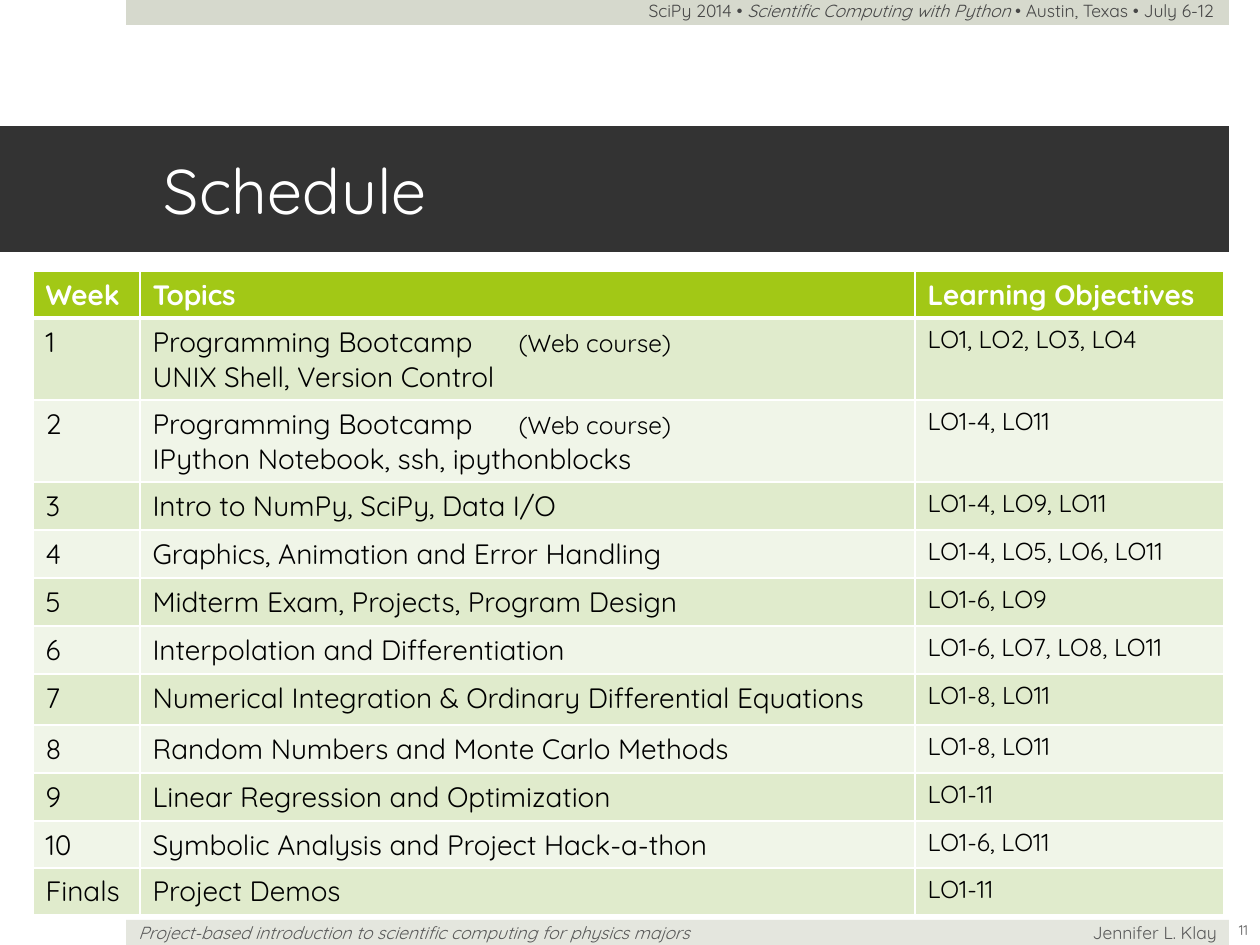
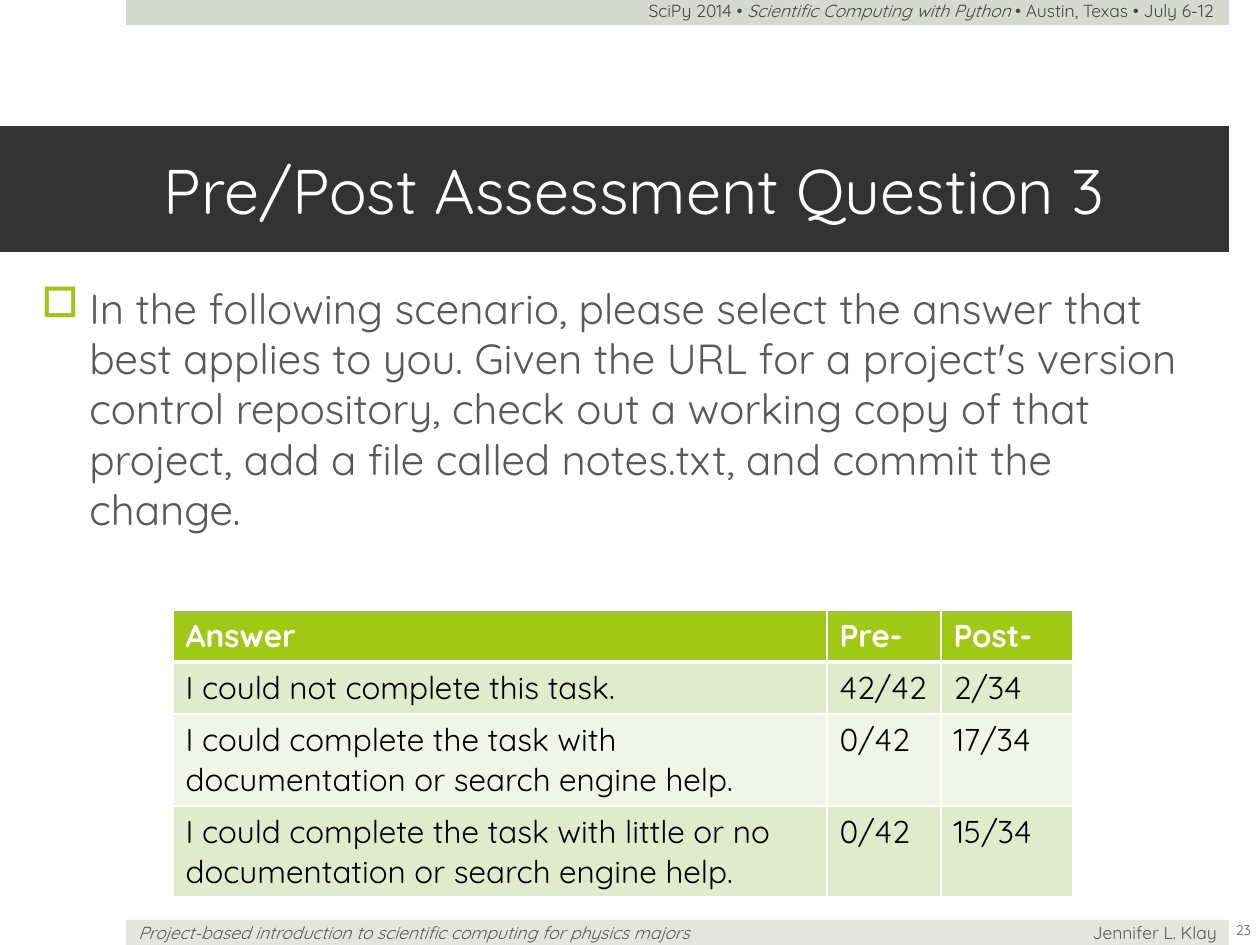
import lxml.etree
import pptx
import pptx.dml.color
import pptx.enum.shapes
import pptx.enum.text
import pptx.oxml.ns
import pptx.util

PIXELS_PER_INCH = 126
FONT = "Quicksand"
COLORS = {
    "top_band": "D6D9CD",
    "bottom_band": "E4E6DE",
    "title_band": "333333",
    "conference": "474747",
    "gray": "595959",
    "white": "FFFFFF",
    "black": "000000",
    "green": "A2C816",
    "odd_row": "E0EBCC",
    "even_row": "F0F5E8",
}
BANDS = [("bottom_band", (126, 920, 1103, 25)), ("top_band", (126, 0, 1103, 25))]
FOOTERS = [
    ((126, 920, 682, 25), "LEFT", "MIDDLE", "gray",
     [("Project-based introduction to scientific computing for physics majors", True)]),
    ((1074, 920, 155, 25), "RIGHT", "MIDDLE", "gray", [("Jennifer L. Klay", False)]),
    ((596, -6, 630, 34), "RIGHT", "TOP", "conference",
     [("SciPy 2014 • ", False), ("Scientific Computing with Python ", True),
      ("• Austin, Texas • July 6-12", False)]),
]
NUMBER_BOX = (1212, 905, 63, 50)
TITLE_BOX = (0, 126, 1229, 126)
QUESTION_BOX = (29, 276, 1197, 300)
BULLET_INDENT = 48
NOTE_TAB = 366
NOTE_SIZE = 14

SCHEDULE = {
    "origin": (33, 271),
    "columns": [107, 775, 309],
    "heights": [47, 82, 82, 48, 48, 48, 48, 51, 48, 48, 47, 47],
    "sizes": [16, 16, 14],
    "header_size": 16,
    "rows": [
        ("Week", "Topics", "Learning Objectives"),
        ("1", "Programming Bootcamp\t(Web course)\nUNIX Shell, Version Control",
         "LO1, LO2, LO3, LO4"),
        ("2", "Programming Bootcamp\t(Web course)\nIPython Notebook, ssh, ipythonblocks",
         "LO1-4, LO11"),
        ("3", "Intro to NumPy, SciPy, Data I/O", "LO1-4, LO9, LO11"),
        ("4", "Graphics, Animation and Error Handling", "LO1-4, LO5, LO6, LO11"),
        ("5", "Midterm Exam, Projects, Program Design", "LO1-6, LO9"),
        ("6", "Interpolation and Differentiation", "LO1-6, LO7, LO8, LO11"),
        ("7", "Numerical Integration & Ordinary Differential Equations", "LO1-8, LO11"),
        ("8", "Random Numbers and Monte Carlo Methods", "LO1-8, LO11"),
        ("9", "Linear Regression and Optimization", "LO1-11"),
        ("10", "Symbolic Analysis and Project Hack-a-thon", "LO1-6, LO11"),
        ("Finals", "Project Demos", "LO1-11"),
    ],
}
ASSESSMENT = {
    "origin": (173, 610),
    "columns": [654, 114, 132],
    "heights": [52, 52, 92, 91],
    "sizes": [18, 18, 18],
    "header_size": 18,
    "rows": [
        ("Answer", "Pre-", "Post-"),
        ("I could not complete this task.", "42/42", "2/34"),
        ("I could complete the task with documentation or search engine help.",
         "0/42", "17/34"),
        ("I could complete the task with little or no documentation or search engine help.",
         "0/42", "15/34"),
    ],
}
SLIDES = [
    {"title": "Schedule", "number": "11", "table": SCHEDULE},
    {"title": "Pre/Post Assessment Question 3", "number": "23", "table": ASSESSMENT,
     "question": "In the following scenario, please select the answer that best applies "
                 "to you. Given the URL for a project's version control repository, check "
                 "out a working copy of that project, add a file called notes.txt, and "
                 "commit the change."},
]


def px(length):
    return pptx.util.Inches(length / PIXELS_PER_INCH)


def color(name):
    return pptx.dml.color.RGBColor.from_string(COLORS[name])


def paint(filled, name):
    filled.fill.solid()
    filled.fill.fore_color.rgb = color(name)


def format_font(font, size, color_name, bold=False, italic=False):
    font.name = FONT
    font.size = pptx.util.Pt(size)
    font.bold = bold
    font.italic = italic
    font.color.rgb = color(color_name)


def add_element(parent, tag, **attributes):
    element = lxml.etree.SubElement(parent, pptx.oxml.ns.qn(tag))
    for name, value in attributes.items():
        element.set(name, str(value))
    return element


def add_text(slide, box, runs, size, color_name, alignment="LEFT", anchor="TOP"):
    text_frame = slide.shapes.add_textbox(*map(px, box)).text_frame
    text_frame.word_wrap = True
    text_frame.vertical_anchor = pptx.enum.text.MSO_ANCHOR[anchor]
    paragraph = text_frame.paragraphs[0]
    paragraph.alignment = pptx.enum.text.PP_ALIGN[alignment]
    for text, italic in runs:
        run = paragraph.add_run()
        run.text = text
        format_font(run.font, size, color_name, italic=italic)
    return paragraph


def add_frame(slide, number):
    for name, box in BANDS:
        band = slide.shapes.add_shape(
            pptx.enum.shapes.MSO_SHAPE.RECTANGLE, *map(px, box))
        band.shadow.inherit = False
        band.line.fill.background()
        paint(band, name)
    for box, alignment, anchor, color_name, runs in FOOTERS:
        add_text(slide, box, runs, 10, color_name, alignment, anchor)
    add_text(slide, NUMBER_BOX, [(number, False)], 8, "gray", "CENTER", "MIDDLE")


def format_title(title, text):
    title.left, title.top, title.width, title.height = map(px, TITLE_BOX)
    paint(title, "title_band")
    text_frame = title.text_frame
    text_frame.text = text
    text_frame.auto_size = pptx.enum.text.MSO_AUTO_SIZE.NONE
    text_frame.vertical_anchor = pptx.enum.text.MSO_ANCHOR.MIDDLE
    text_frame.margin_left = px(164)
    text_frame.margin_right = px(38)
    paragraph = text_frame.paragraphs[0]
    paragraph.alignment = pptx.enum.text.PP_ALIGN.LEFT
    format_font(paragraph.runs[0].font, 36, "white")


def add_question(slide, text):
    paragraph = add_text(slide, QUESTION_BOX, [(text, False)], 24, "gray")
    properties = paragraph._p.get_or_add_pPr()
    properties.set("marL", str(px(BULLET_INDENT)))
    properties.set("indent", str(-px(BULLET_INDENT)))
    bullet_color = add_element(properties, "a:buClr")
    add_element(bullet_color, "a:srgbClr", val=COLORS["green"])
    add_element(properties, "a:buChar", char="□")


def set_borders(cell, row_index):
    properties = cell._tc.get_or_add_tcPr()
    heavy_side = {0: "B", 1: "T"}.get(row_index)
    for position, side in enumerate("LRTB"):
        width = pptx.util.Pt(3 if side == heavy_side else 1)
        line = add_element(properties, f"a:ln{side}", w=width)
        fill = add_element(line, "a:solidFill")
        add_element(fill, "a:srgbClr", val=COLORS["white"])
        properties.insert(position, line)


def write_line(paragraph, line, size, color_name, bold):
    topic, tab, note = line.partition("\t")
    paragraph.text = topic + tab
    format_font(paragraph.runs[0].font, size, color_name, bold)
    if note:
        tabs = add_element(paragraph._p.get_or_add_pPr(), "a:tabLst")
        add_element(tabs, "a:tab", pos=px(NOTE_TAB), algn="l")
        run = paragraph.add_run()
        run.text = note
        format_font(run.font, NOTE_SIZE, color_name, bold)


def add_table(slide, content):
    rows, columns, heights = content["rows"], content["columns"], content["heights"]
    box = (*content["origin"], sum(columns), sum(heights))
    table = slide.shapes.add_table(len(rows), len(columns), *map(px, box)).table
    table.horz_banding = False
    for column, width in zip(table.columns, columns):
        column.width = px(width)
    for row_index, values in enumerate(rows):
        table.rows[row_index].height = px(heights[row_index])
        header = row_index == 0
        fill = "green" if header else "odd_row" if row_index % 2 else "even_row"
        for column_index, value in enumerate(values):
            cell = table.cell(row_index, column_index)
            paint(cell, fill)
            set_borders(cell, row_index)
            size = content["header_size"] if header else content["sizes"][column_index]
            cell.text_frame.text = value
            for paragraph, line in zip(cell.text_frame.paragraphs, value.split("\n")):
                write_line(paragraph, line, size, "white" if header else "black", header)


def main():
    """Build the schedule and assessment slides."""
    presentation = pptx.Presentation()
    presentation.slide_width = px(1260)
    presentation.slide_height = px(945)
    for content in SLIDES:
        slide = presentation.slides.add_slide(presentation.slide_layouts[5])
        add_frame(slide, content["number"])
        format_title(slide.shapes.title, content["title"])
        if "question" in content:
            add_question(slide, content["question"])
        add_table(slide, content["table"])
    presentation.save("out.pptx")


if __name__ == "__main__":
    main()
